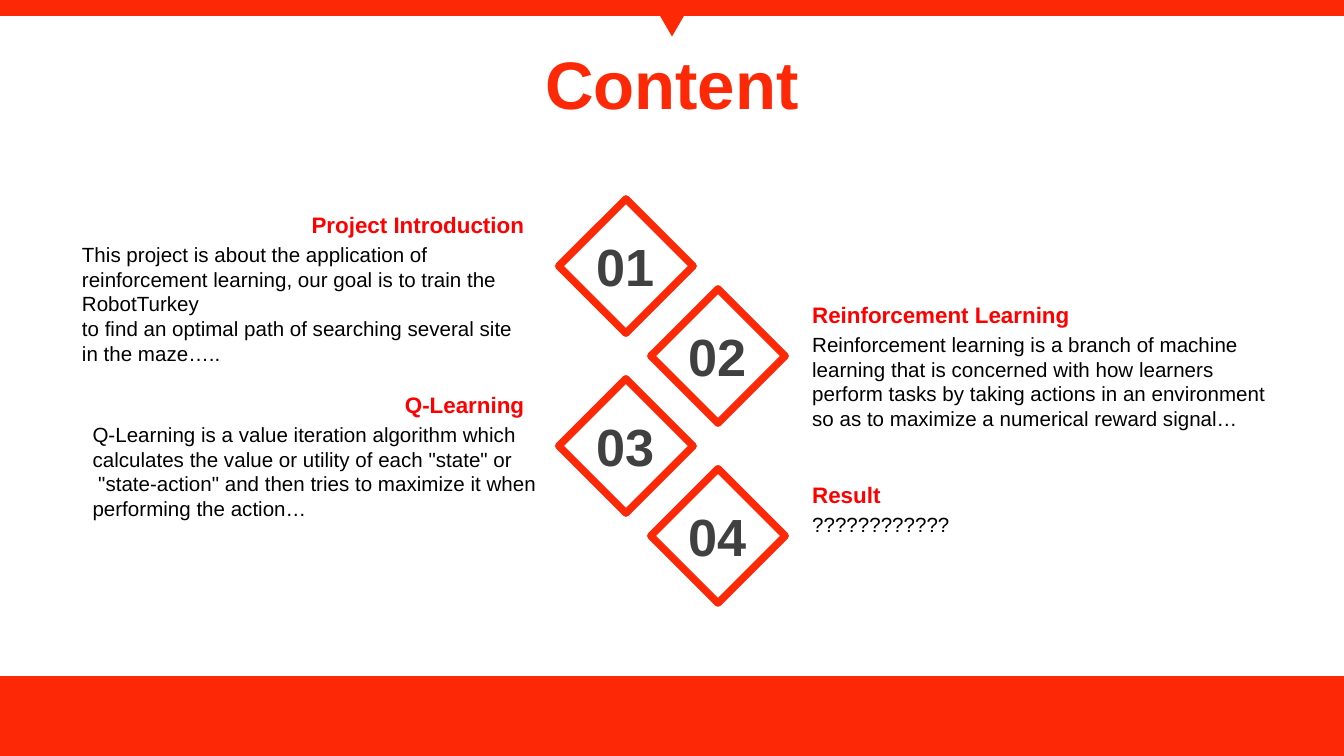
import pptx
import pptx.util
import pptx.dml.color
import pptx.enum.shapes
import pptx.enum.text

Cm, Pt = pptx.util.Cm, pptx.util.Pt
Shape = pptx.enum.shapes.MSO_SHAPE
Align = pptx.enum.text.PP_ALIGN
Anchor = pptx.enum.text.MSO_ANCHOR

WIDE, HIGH = 25.4, 14.29
RED, HEAD, DARK, BLACK = "FD2906", "FF0000", "404040", "000000"
SIDE, STEP, TOP = 2.54, 1.7, 3.76
LEFT, RIGHT = 10.56, 12.3
HEAD_W, HEAD_END, TEXT_X = 8.28, 10.16, 15.1

TITLE = "Content"
ITEMS = [
    ("Project Introduction", 1.3, 9.0, [
        "This project is about the application of reinforcement learning, "
        "our goal is to train the RobotTurkey",
        "to find an optimal path of searching several site",
        "in the maze…..",
    ]),
    ("Reinforcement Learning", TEXT_X, 10.0, [
        "Reinforcement learning is a branch of machine",
        "learning that is concerned with how learners",
        "perform tasks by taking actions in an environment",
        "so as to maximize a numerical reward signal…",
    ]),
    ("Q-Learning", 1.5, 9.07, [
        "Q-Learning is a value iteration algorithm which",
        "calculates the value or utility of each \"state\" or",
        " \"state-action\" and then tries to maximize it when "
        "performing the action…",
    ]),
    ("Result", TEXT_X, 8.28, ["????????????"]),
]


def color(code):
    return pptx.dml.color.RGBColor.from_string(code)


def style(par, size, code, bold, align):
    par.alignment = align
    font = par.font
    font.name, font.size, font.bold = "Arial", Pt(size), bold
    font.color.rgb = color(code)


def box(place, lines, size, code, bold=False, align=Align.LEFT, wrap=True):
    frame = slide.shapes.add_textbox(*map(Cm, place)).text_frame
    frame.word_wrap = wrap
    frame.text = "\n".join(lines)
    for par in frame.paragraphs:
        style(par, size, code, bold, align)


def shape(kind, place, fill=None, line=None):
    item = slide.shapes.add_shape(kind, *map(Cm, place))
    item.shadow.inherit = False
    if fill:
        item.fill.solid()
        item.fill.fore_color.rgb = color(fill)
    else:
        item.fill.background()
    if line:
        item.line.color.rgb = color(line)
        item.line.width = Pt(4)
    else:
        item.line.fill.background()
    return item


deck = pptx.Presentation()
deck.slide_width, deck.slide_height = Cm(WIDE), Cm(HIGH)
slide = deck.slides.add_slide(deck.slide_layouts[5])

shape(Shape.RECTANGLE, (0, 12.78, WIDE, HIGH - 12.78), RED)
shape(Shape.RECTANGLE, (0, 0, WIDE, 0.3), RED)
shape(Shape.ISOSCELES_TRIANGLE, (12.3, 0, 0.8, 0.69), RED).rotation = 180

title = slide.shapes.title
title.left, title.top, title.width, title.height = map(Cm, (0, 0.33, WIDE, 2.46))
title.text_frame.text = TITLE
title.text_frame.vertical_anchor = Anchor.MIDDLE
style(title.text_frame.paragraphs[0], 36, RED, True, Align.CENTER)

for i, (head, left, width, lines) in enumerate(ITEMS):
    odd = i % 2
    x, y = (RIGHT if odd else LEFT), TOP + i * STEP
    shape(Shape.DIAMOND, (x, y, SIDE, SIDE), line=RED)
    box((x + 0.46, y + 0.55, 1.62, 1.45), [f"{i + 1:02}"], 28, DARK, True, wrap=False)
    start = TEXT_X if odd else HEAD_END - HEAD_W
    align = Align.LEFT if odd else Align.RIGHT
    box((left, y + 0.69, width, 0.73 + 0.47 * (len(lines) - 1)), lines, 11, BLACK)
    box((start, y + 0.11, HEAD_W, 0.76), [head], 12, HEAD, True, align)

deck.save("out.pptx")
